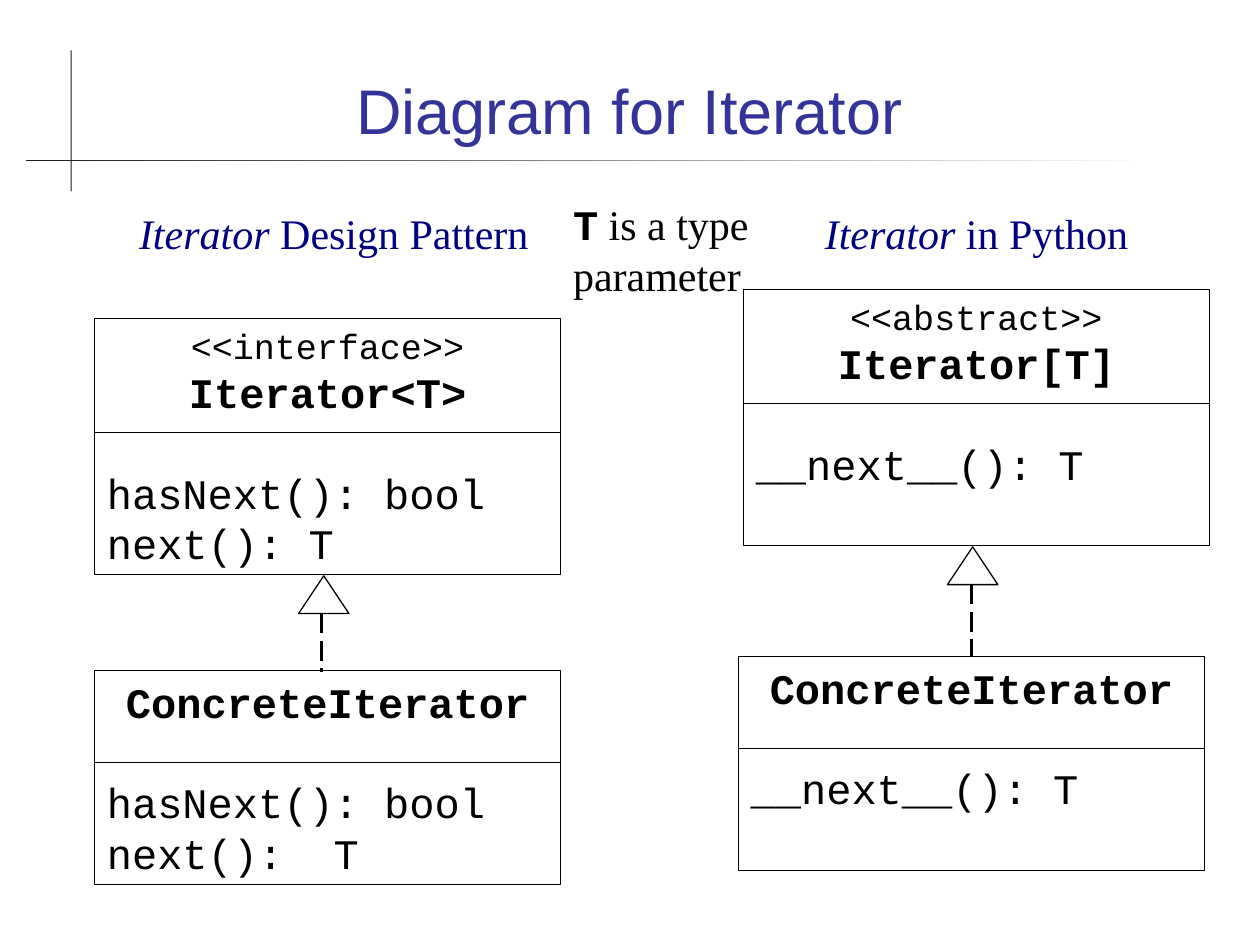
from dataclasses import dataclass

from lxml import etree
from pptx import Presentation
from pptx.dml.color import RGBColor
from pptx.enum import dml, shapes, text
from pptx.oxml.ns import qn
from pptx.util import Inches, Pt


@dataclass(frozen=True)
class Theme:
    ink: RGBColor = RGBColor(0, 0, 0)
    paper: RGBColor = RGBColor(255, 255, 255)
    rule: RGBColor = RGBColor(0x1C, 0x1C, 0x1C)
    title: RGBColor = RGBColor(0x33, 0x33, 0x99)
    caption: RGBColor = RGBColor(0, 0, 0x80)
    sans: str = "Arial"
    serif: str = "Times New Roman"
    mono: str = "Courier New"
    title_size: int = 36
    body_size: int = 24
    stereotype_size: int = 20
    outline: float = 0.75
    dashed: float = 1.42


theme = Theme()
CENTER, LEFT = text.PP_ALIGN.CENTER, text.PP_ALIGN.LEFT


def write(paragraph, words, font=theme.mono, size=theme.body_size, color=theme.ink,
          bold=False, italic=False, align=LEFT, before=0):
    paragraph.alignment = align
    paragraph.space_before = Pt(before)
    paragraph.line_spacing = 1.0
    run = paragraph.add_run()
    run.text = words
    run.font.name, run.font.size = font, Pt(size)
    run.font.bold, run.font.italic = bold, italic
    run.font.color.rgb = color


def draw_line(x1, y1, x2, y2, width):
    line = slide.shapes.add_connector(
        shapes.MSO_CONNECTOR.STRAIGHT, Inches(x1), Inches(y1), Inches(x2), Inches(y2))
    line.line.color.rgb = theme.ink
    line.line.width = Pt(width)
    etree.SubElement(line._element.spPr, qn("a:effectLst"))
    return line


deck = Presentation()
deck.slide_width, deck.slide_height = Inches(10), Inches(7.5)
slide = deck.slides.add_slide(deck.slide_layouts[5])

title = slide.shapes.title
title.left, title.top, title.width, title.height = (Inches(v) for v in (0.67, 0.28, 8.65, 0.94))
title.text_frame.vertical_anchor = text.MSO_ANCHOR.BOTTOM
title.text_frame.auto_size = text.MSO_AUTO_SIZE.NONE
write(title.text_frame.paragraphs[0], "Diagram for Iterator", font=theme.sans,
      size=theme.title_size, color=theme.title, align=CENTER)

for rule_place in ((0.56, 0.4, 0.01, 1.12), (0.21, 1.27, 8.97, 0.01)):
    rule = slide.shapes.add_shape(shapes.MSO_SHAPE.RECTANGLE, *map(Inches, rule_place))
    rule.shadow.inherit = False
    rule.line.fill.background()
    if rule_place[2] > rule_place[3]:
        rule.fill.gradient()
        rule.fill.gradient_angle = 180
        for stop, shade in zip(rule.fill.gradient_stops, (theme.paper, theme.rule)):
            stop.color.rgb = shade
    else:
        rule.fill.solid()
        rule.fill.fore_color.rgb = theme.rule

box_width = 3.7
arrow_width, arrow_height = 0.4, 0.3
class_boxes = [
    (0.75, 2.53, 2.03, 0.9, "<<interface>>", "Iterator<T>", ["hasNext(): bool", "next(): T"]),
    (0.75, 5.32, 1.7, 0.73, None, "ConcreteIterator", ["hasNext(): bool", "next():  T"]),
    (5.9, 2.3, 2.03, 0.9, "<<abstract>>", "Iterator[T]", ["__next__(): T"]),
    (5.86, 5.21, 1.7, 0.73, None, "ConcreteIterator", ["__next__(): T"]),
]
drawn_classes = []
for left, top, height, divider, stereotype, class_name, operations in class_boxes:
    class_box = slide.shapes.add_shape(
        shapes.MSO_SHAPE.RECTANGLE, Inches(left), Inches(top), Inches(box_width), Inches(height))
    class_box.shadow.inherit = False
    class_box.fill.background()
    class_box.line.color.rgb = theme.ink
    class_box.line.width = Pt(theme.outline)
    frame = class_box.text_frame
    frame.word_wrap = True
    frame.vertical_anchor = text.MSO_ANCHOR.TOP
    heading = frame.paragraphs[0]
    if stereotype:
        write(heading, stereotype, size=theme.stereotype_size, align=CENTER)
        heading = frame.add_paragraph()
    write(heading, class_name, bold=True, align=CENTER)
    for index, operation in enumerate(operations):
        write(frame.add_paragraph(), operation, before=0 if index else 28.5)
    draw_line(left, top + divider, left + box_width, top + divider, theme.outline)
    drawn_classes.append(class_box)

realizations = [
    (2.37, 4.57, 2.55, 5.33, None),
    (7.52, 4.34, 7.71, 5.21, drawn_classes[3]),
]
for left, top, stem_x, stem_end, joined_class in realizations:
    arrowhead = slide.shapes.add_shape(
        shapes.MSO_SHAPE.ISOSCELES_TRIANGLE, Inches(left), Inches(top),
        Inches(arrow_width), Inches(arrow_height))
    arrowhead.shadow.inherit = False
    arrowhead.fill.background()
    arrowhead.line.color.rgb = theme.ink
    arrowhead.line.width = Pt(theme.outline)
    stem = draw_line(stem_x, top + arrow_height, stem_x, stem_end, theme.dashed)
    stem.line.dash_style = dml.MSO_LINE.LONG_DASH
    if joined_class:
        stem.end_connect(joined_class, 0)

caption_format = dict(font=theme.serif, color=theme.caption, align=CENTER)
captions = [
    (4.45, 1.53, 1.7, 1, [("T", dict(bold=True)),
                          (" is a type parameter", dict(font=theme.serif))]),
    (0.8, 1.6, box_width, 0.5, [("Iterator", dict(caption_format, italic=True)),
                                (" Design Pattern", caption_format)]),
    (5.9, 1.6, box_width, 0.5, [("Iterator", dict(caption_format, italic=True)),
                                (" in Python", caption_format)]),
]
for left, top, width, height, pieces in captions:
    caption = slide.shapes.add_textbox(Inches(left), Inches(top), Inches(width), Inches(height))
    caption.text_frame.word_wrap = True
    for words, piece_format in pieces:
        write(caption.text_frame.paragraphs[0], words, **piece_format)

deck.save("out.pptx")
